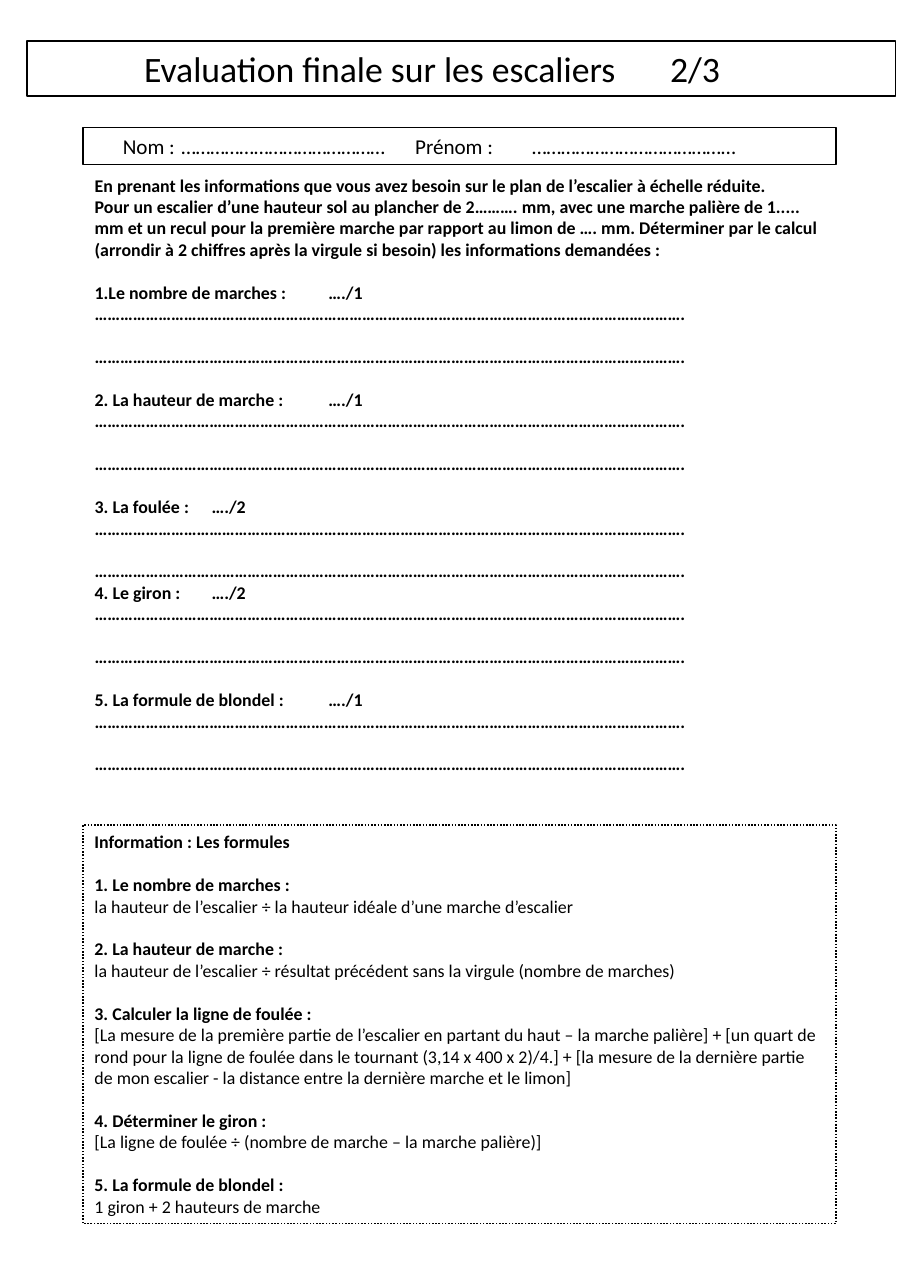
from lxml import etree
from pptx import Presentation
from pptx.dml.color import RGBColor
from pptx.enum import dml, shapes, text
from pptx.oxml import ns
from pptx.util import Pt

FONT, BLACK, WHITE = "Calibri", "000000", "FFFFFF"
LEFT, WIDTH, GAP = 51.1, 463.7, 13.2

TITLE = "Evaluation finale sur les escaliers\t2/3"
NAME_DOTS = "…" * 14
IDENTITY = f"Nom :\t{NAME_DOTS}\tPrénom :\t{NAME_DOTS}"
INTRO = [
    "En prenant les informations que vous avez besoin sur le plan de l’escalier à échelle réduite.",
    "Pour un escalier d’une hauteur sol au plancher de 2………. mm, avec une marche palière de 1..... "
    "mm et un recul pour la première marche par rapport au limon de …. mm. Déterminer par le calcul "
    "(arrondir à 2 chiffres après la virgule si besoin) les informations demandées :",
]
ANSWER = "…" * 46 + "."
QUESTIONS = [
    ("1.Le nombre de marches :", "…./1", GAP),
    ("2. La hauteur de marche :", "…./1", GAP),
    ("3. La foulée :", "…./2", GAP),
    ("4. Le giron :", "…./2", 0),
    ("5. La formule de blondel :", "…./1", GAP),
]
FORMULA_HEADING = "Information : Les formules"
FORMULAS = [
    ("1. Le nombre de marches :",
     "la hauteur de l’escalier ÷ la hauteur idéale d’une marche d’escalier"),
    ("2. La hauteur de marche :",
     "la hauteur de l’escalier ÷ résultat précédent sans la virgule (nombre de marches)"),
    ("3. Calculer la ligne de foulée :",
     "[La mesure de la première partie de l’escalier en partant du haut – la marche palière] + "
     "[un quart de rond pour la ligne de foulée dans le tournant (3,14 x 400 x 2)/4.] + "
     "[la mesure de la dernière partie de mon escalier - la distance entre la dernière marche et le limon]"),
    ("4. Déterminer le giron :",
     "[La ligne de foulée ÷ (nombre de marche – la marche palière)]"),
    ("5. La formule de blondel :", "1 giron + 2 hauteurs de marche"),
]


def color(value):
    """Return the colour for a hex string."""
    return RGBColor.from_string(value)


def place(box, left, top, width, height):
    """Move and size a box, in points."""
    box.left, box.top, box.width, box.height = map(Pt, (left, top, width, height))


def outline(box, dash=None):
    """Give a box a white fill and a thin black line."""
    box.fill.solid()
    box.fill.fore_color.rgb = color(WHITE)
    box.line.color.rgb = color(BLACK)
    box.line.width = Pt(1)
    if dash:
        box.line.dash_style = dash


def write(box, rows, size, tabs=(), inset=7.2, anchor=text.MSO_ANCHOR.TOP):
    """Fill a box with (text, bold, space before) rows."""
    frame = box.text_frame
    frame.text = "\n".join(row[0] for row in rows)
    frame.word_wrap = True
    frame.auto_size = text.MSO_AUTO_SIZE.NONE
    frame.vertical_anchor = anchor
    frame.margin_left, frame.margin_right = Pt(inset), Pt(7.2)
    frame.margin_top = frame.margin_bottom = Pt(3.6)
    for para, (_, bold, space) in zip(frame.paragraphs, rows):
        para.alignment = text.PP_ALIGN.LEFT
        para.space_before, para.space_after = Pt(space), Pt(0)
        props = para._p.get_or_add_pPr()
        props.set("marL", "0")
        props.set("indent", "0")
        etree.SubElement(props, ns.qn("a:buNone"))
        if tabs:
            stops = etree.SubElement(props, ns.qn("a:tabLst"))
            for stop in tabs:
                etree.SubElement(stops, ns.qn("a:tab"), pos=str(Pt(stop)), algn="l")
        for span in para.runs:
            span.font.name, span.font.size, span.font.bold = FONT, Pt(size), bold
            span.font.color.rgb = color(BLACK)


def add_panel(page, top, height, dash=None):
    """Add an outlined rectangle of the main column."""
    box = page.shapes.add_shape(shapes.MSO_SHAPE.RECTANGLE, 0, 0, 0, 0)
    box.shadow.inherit = False
    place(box, LEFT, top, WIDTH, height)
    outline(box, dash)
    return box


deck = Presentation()
deck.slide_width, deck.slide_height = Pt(566.64), Pt(793.44)
page = deck.slides.add_slide(deck.slide_layouts[1])

title = page.shapes.title
place(title, 16.6, 25.2, 535, 33.8)
outline(title)
write(title, [(TITLE, False, 0)], 22, [360], 72.1, text.MSO_ANCHOR.MIDDLE)

questions = page.placeholders[1]
place(questions, LEFT, 103.7, WIDTH, 377.3)
rows = [(line, True, 0) for line in INTRO]
for label, score, space in QUESTIONS:
    rows += [(f"{label}\t{score}", True, space), (ANSWER, True, 0), (ANSWER, True, GAP)]
write(questions, rows, 11, [396])

identity = add_panel(page, 78.5, 23)
write(identity, [(IDENTITY, False, 0)], 13, [36, 216, 288], 24.6, text.MSO_ANCHOR.MIDDLE)

formulas = add_panel(page, 508.3, 245.5, dml.MSO_LINE.ROUND_DOT)
rows = [(FORMULA_HEADING, True, 0)]
for label, formula in FORMULAS:
    rows += [(label, True, GAP), (formula, False, 0)]
write(formulas, rows, 11)

deck.save("out.pptx")
